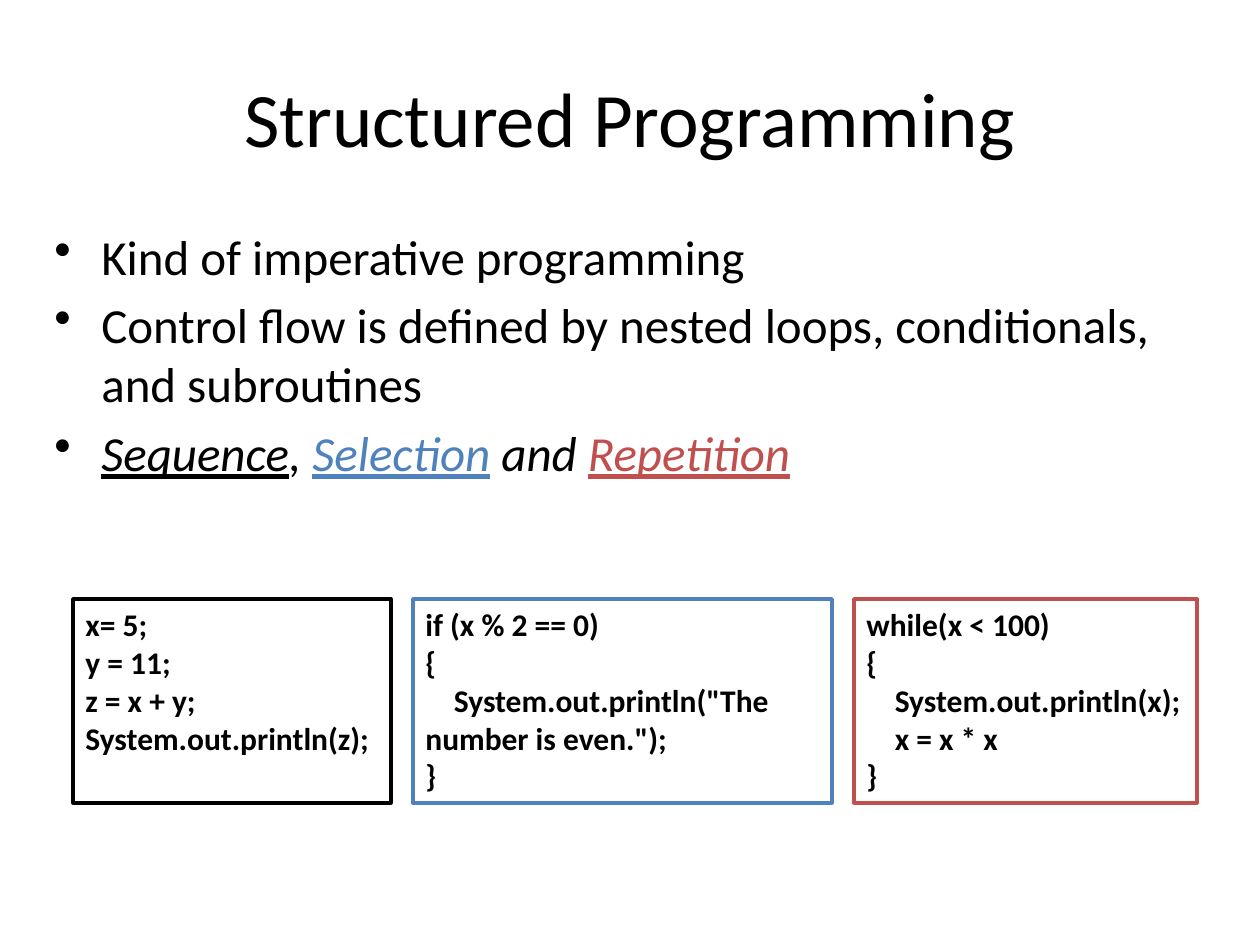
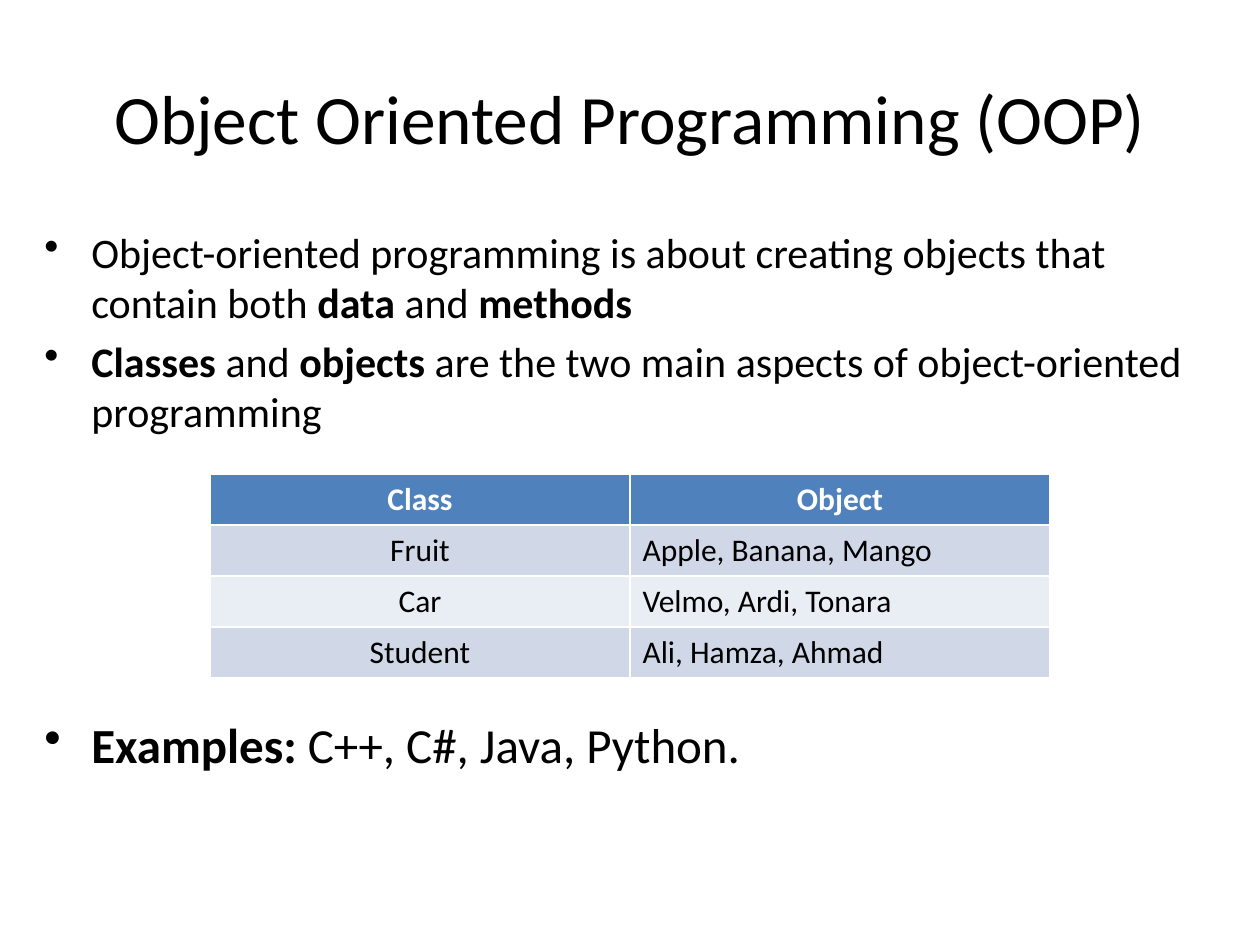
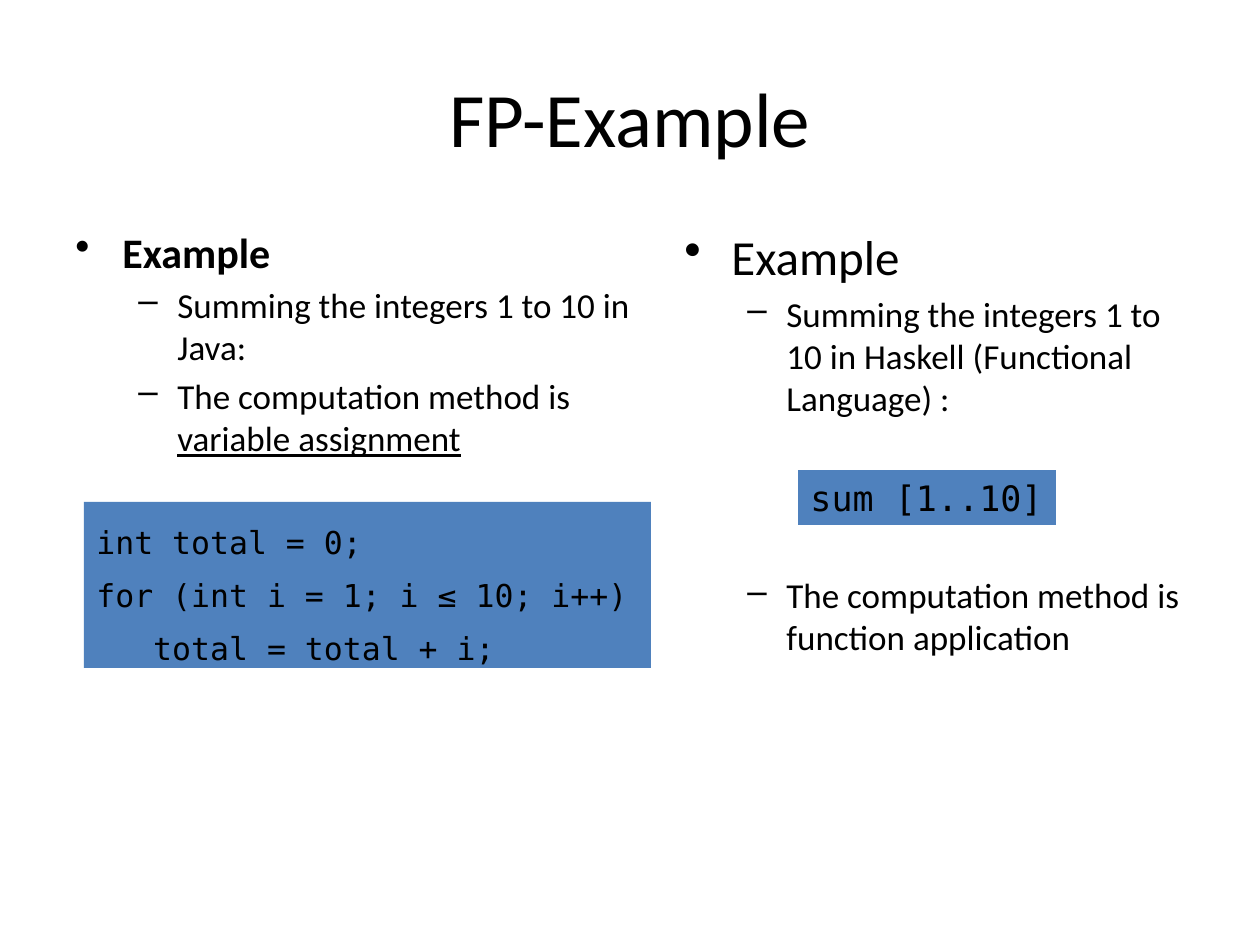
from dataclasses import dataclass

from lxml import etree
from pptx import Presentation
from pptx import util as u
from pptx.dml.color import RGBColor
from pptx.enum import shapes, text
from pptx.oxml import ns

EMU_PER_PX = 914400 / 126


@dataclass(frozen=True)
class Theme:
    # Colours
    black: str = "000000"
    white: str = "FFFFFF"
    blue: str = "4F81BD"
    red: str = "C0504D"
    band_dark: str = "D0D8E8"
    band_light: str = "E9EDF4"
    # Fonts and type sizes
    body_font: str = "Calibri"
    code_font: str = "DejaVu Sans Mono"
    title: float = 44
    title_long: float = 39.6
    large: float = 28
    medium: float = 24
    small: float = 20
    code: float = 18


THEME = Theme()
# Bullet character, left margin and hanging indent of each level
BULLETS = [("•", 47, 47), ("–", 102, 39)]


def px(*lengths):
    """Turn pixel lengths into EMU."""
    return [u.Emu(round(length * EMU_PER_PX)) for length in lengths]


# Text
def write(paragraph, content, size=THEME.code, color=THEME.black,
          font=THEME.body_font, bold=False, italic=False, underline=False):
    """Add text to a paragraph; newlines become line breaks."""
    for number, line in enumerate(content.split("\n")):
        if number:
            paragraph.add_line_break()
        run = paragraph.add_run()
        run.text = line
        run.font.name, run.font.size = font, u.Pt(size)
        run.font.color.rgb = RGBColor.from_string(color)
        run.font.bold, run.font.italic = bold, italic
        run.font.underline = underline


def add_title(slide, content, size=THEME.title):
    title = slide.shapes.title
    title.left, title.top, title.width, title.height = px(63, 38, 1134, 157)
    title.text_frame.vertical_anchor = text.MSO_ANCHOR.MIDDLE
    paragraph = title.text_frame.paragraphs[0]
    paragraph.alignment = text.PP_ALIGN.CENTER
    write(paragraph, content, size=size)


def bullet(*runs, size, level=0, before=None):
    """Describe a bullet; each run is a text or a (text, format) pair."""
    return runs, size, level, size * 0.2 if before is None else before


def add_bullets(slide, box, bullets):
    frame = slide.shapes.add_textbox(*px(*box)).text_frame
    frame.word_wrap = True
    for number, (runs, size, level, before) in enumerate(bullets):
        paragraph = frame.add_paragraph() if number else frame.paragraphs[0]
        mark, margin, hanging = BULLETS[level]
        properties = paragraph._p.get_or_add_pPr()
        properties.set("marL", str(px(margin)[0]))
        properties.set("indent", str(-px(hanging)[0]))
        etree.SubElement(properties, ns.qn("a:buChar"), char=mark)
        paragraph.level = level
        if number:
            paragraph.space_before = u.Pt(before)
        for run in runs:
            content, style = (run, {}) if isinstance(run, str) else run
            write(paragraph, content, size=size, **style)


# Code boxes
def add_code(slide, box, paragraphs, fill, line=None, wrap=True,
             spacing=None, **style):
    panel = slide.shapes.add_shape(shapes.MSO_SHAPE.RECTANGLE, *px(*box))
    panel.shadow.inherit = False
    panel.fill.solid()
    panel.fill.fore_color.rgb = RGBColor.from_string(fill)
    if line:
        panel.line.color.rgb = RGBColor.from_string(line)
        panel.line.width = u.Pt(2)
    else:
        panel.line.fill.background()
    frame = panel.text_frame
    frame.word_wrap = wrap
    frame.vertical_anchor = text.MSO_ANCHOR.TOP
    for number, content in enumerate(paragraphs):
        paragraph = frame.add_paragraph() if number else frame.paragraphs[0]
        paragraph.alignment = text.PP_ALIGN.LEFT
        if spacing:
            paragraph.line_spacing = spacing
        write(paragraph, content, **style)


# Table
def add_class_table(slide, box, rows):
    table = slide.shapes.add_table(len(rows), len(rows[0]), *px(*box)).table
    for r, row in enumerate(rows):
        header = r == 0
        band = THEME.band_dark if r % 2 else THEME.band_light
        for c, content in enumerate(row):
            cell = table.cell(r, c)
            cell.fill.solid()
            cell.fill.fore_color.rgb = RGBColor.from_string(
                THEME.blue if header else band)
            paragraph = cell.text_frame.paragraphs[0]
            if header or c == 0:
                paragraph.alignment = text.PP_ALIGN.CENTER
            write(paragraph, content, bold=header,
                  color=THEME.white if header else THEME.black)


# Slides
def build_structured(slide):
    add_title(slide, "Structured Programming")
    italic = {"italic": True}
    term = {"italic": True, "underline": True}
    add_bullets(slide, (42, 220, 1187, 624), [
        bullet("Kind of imperative programming", size=THEME.large),
        bullet("Control flow is defined by nested loops, conditionals, "
               "and subroutines", size=THEME.large),
        bullet(("Sequence", term), (", ", italic),
               ("Selection", {**term, "color": THEME.blue}),
               (" and ", italic),
               ("Repetition", {**term, "color": THEME.red}),
               size=THEME.large),
    ])
    samples = [
        (318, THEME.black,
         "x= 5;\ny = 11;\nz = x + y;\nSystem.out.println(z);"),
        (419, THEME.blue,
         'if (x % 2 == 0)\n{\n    System.out.println("The number is even.");\n}'),
        (343, THEME.red,
         "while(x < 100)\n{\n    System.out.println(x);\n    x = x * x\n}"),
    ]
    left, gap = 73, 22
    for width, outline, code in samples:
        add_code(slide, (left, 599, width, 204), [code],
                 fill=THEME.white, line=outline, bold=True)
        left += width + gap


def build_object_oriented(slide):
    add_title(slide, "Object Oriented Programming (OOP)", THEME.title_long)
    bold = {"bold": True}
    add_bullets(slide, (32, 220, 1197, 662), [
        bullet("Object-oriented programming is about creating objects that "
               "contain both ", ("data", bold), " and ", ("methods", bold),
               size=THEME.medium),
        bullet(("Classes", bold), " and ", ("objects", bold),
               " are the two main aspects of object-oriented programming",
               size=THEME.medium),
        # Leaves room for the table
        bullet(("Examples: ", bold), "C++, C#, Java, Python.",
               size=THEME.large, before=159),
    ])
    add_class_table(slide, (210, 474, 840, 204), [
        ("Class", "Object"),
        ("Fruit", "Apple, Banana, Mango"),
        ("Car", "Velmo, Ardi, Tonara"),
        ("Student", "Ali, Hamza, Ahmad"),
    ])


def build_functional(slide):
    add_title(slide, "FP-Example")
    # Java column
    add_bullets(slide, (63, 220, 588, 624), [
        bullet(("Example", {"bold": True}), size=THEME.medium),
        bullet("Summing the integers 1 to 10 in Java:",
               size=THEME.small, level=1),
        bullet("The computation method is ",
               ("variable assignment", {"underline": True}),
               size=THEME.small, level=1),
    ])
    add_code(slide, (84, 502, 567, 166),
             ["int total = 0;", "for (int i = 1; i ≤ 10; i++)",
              "   total = total + i;"],
             fill=THEME.blue, spacing=1.4, font=THEME.code_font)
    # Haskell column
    add_bullets(slide, (672, 220, 525, 624), [
        bullet("Example", size=THEME.large),
        bullet("Summing the integers 1 to 10 in Haskell "
               "(Functional Language) :", size=THEME.small, level=1),
        # Leaves room for the code
        bullet("The computation method is function application",
               size=THEME.small, level=1, before=89),
    ])
    add_code(slide, (798, 470, 258, 55), ["sum [1..10]"], fill=THEME.blue,
             wrap=False, size=THEME.small, font=THEME.code_font)


def main():
    deck = Presentation()
    deck.slide_width, deck.slide_height = px(1260, 945)
    title_only = deck.slide_layouts[5]
    for build in (build_structured, build_object_oriented, build_functional):
        build(deck.slides.add_slide(title_only))
    deck.save("out.pptx")


if __name__ == "__main__":
    main()
